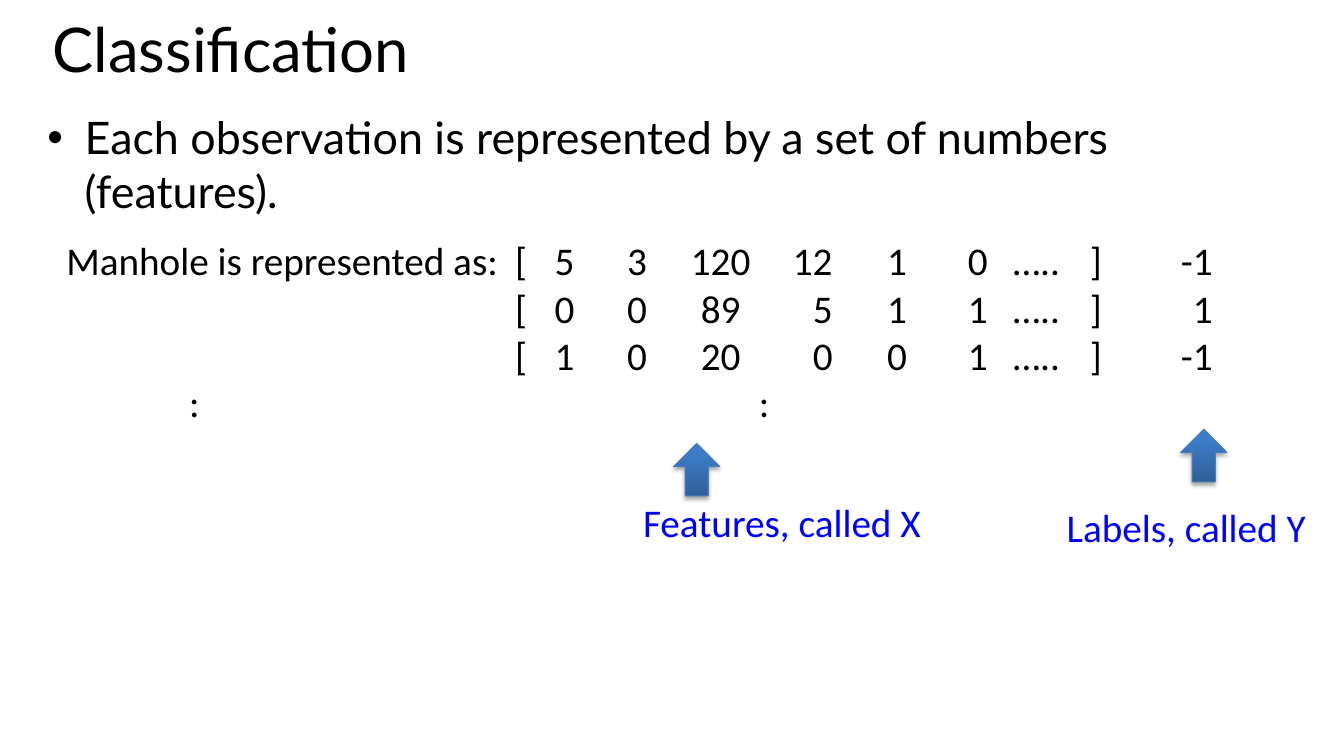
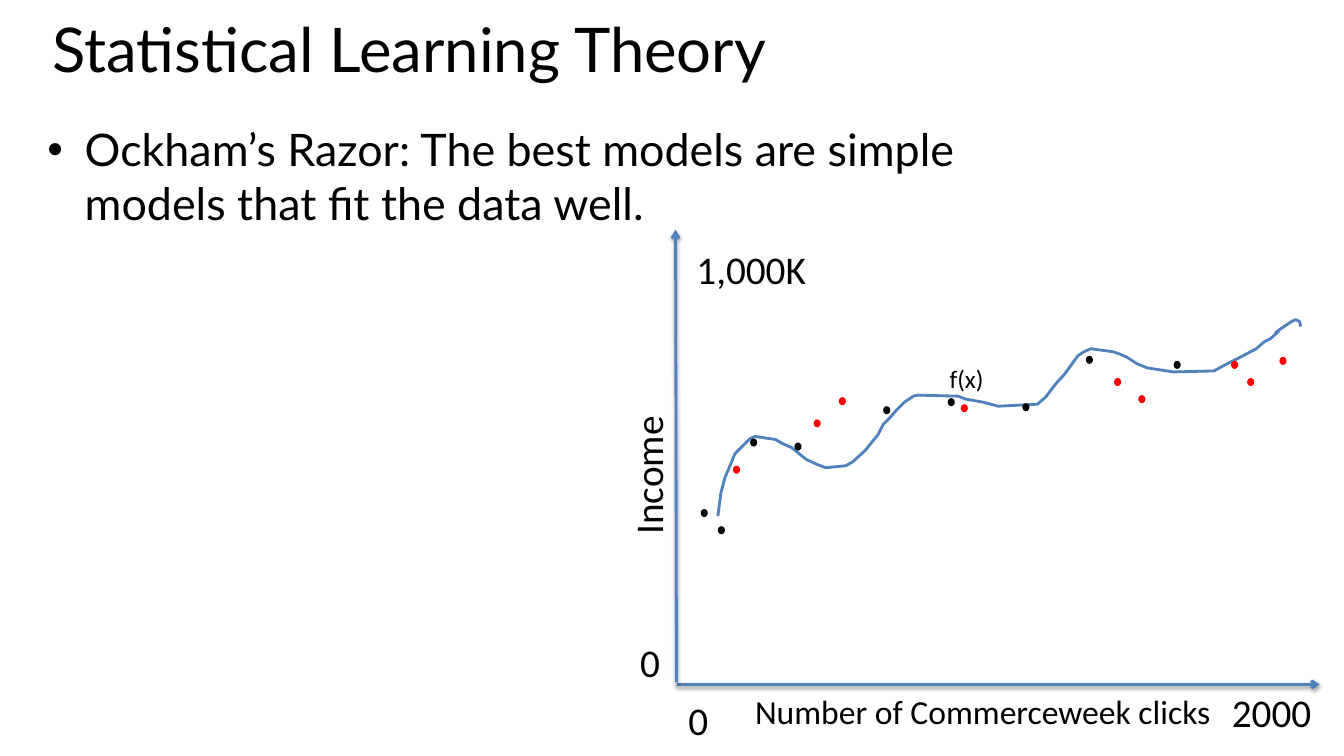
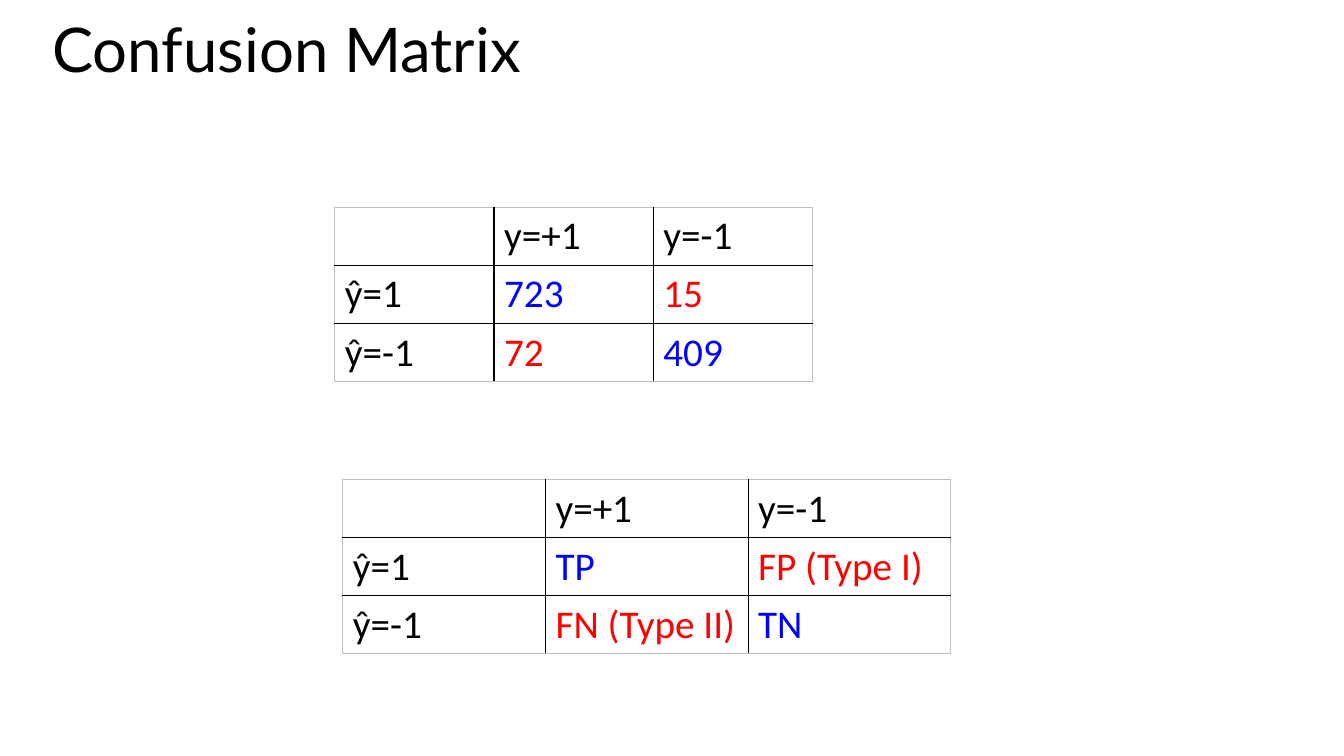
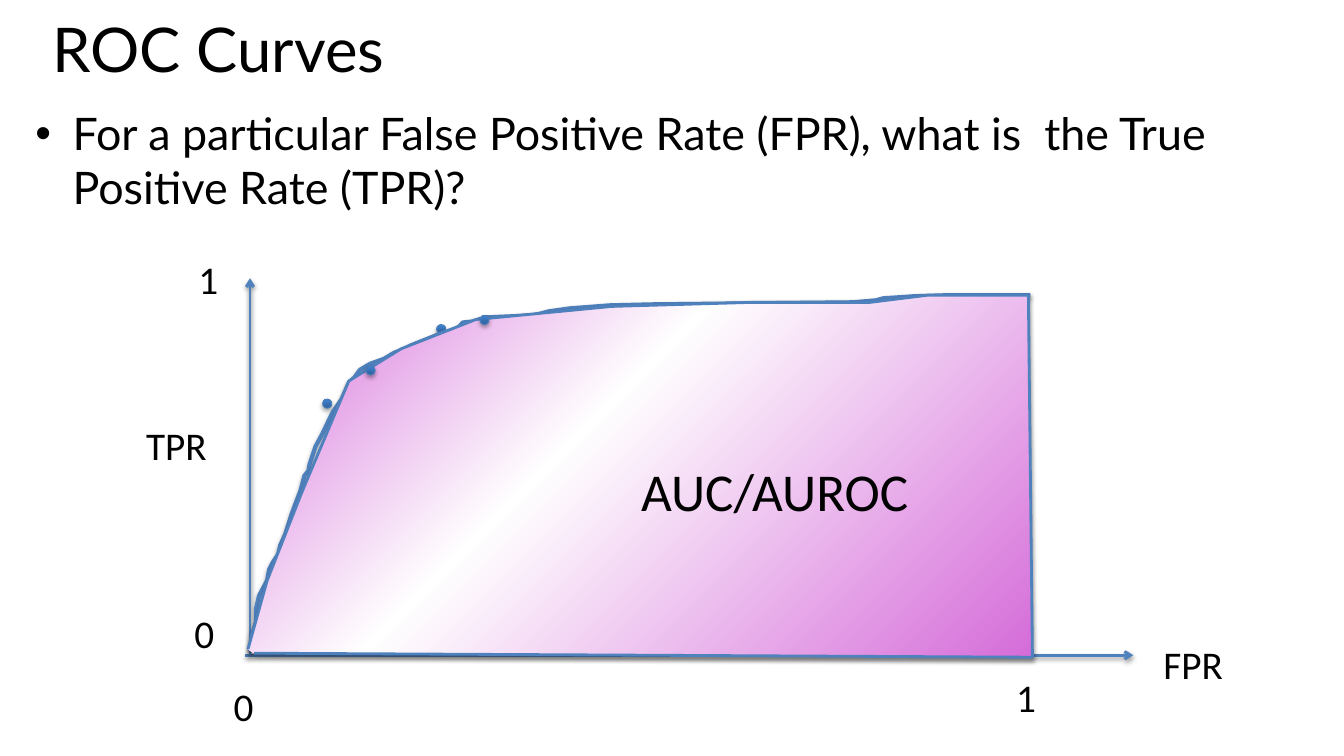
from pptx import Presentation
from pptx.dml.color import RGBColor
from pptx.enum.shapes import MSO_CONNECTOR, MSO_SHAPE
from pptx.enum.text import MSO_ANCHOR, MSO_AUTO_SIZE, PP_ALIGN
from pptx.oxml import parse_xml
from pptx.oxml.ns import nsdecls, qn
from pptx.util import Inches, Pt

STRAIGHT = MSO_CONNECTOR.STRAIGHT
OVAL, UP_ARROW = MSO_SHAPE.OVAL, MSO_SHAPE.UP_ARROW
TOP, LEFT, NO_FIT = MSO_ANCHOR.TOP, PP_ALIGN.LEFT, MSO_AUTO_SIZE.NONE

HEADING_FONT, LABEL_FONT = "Lato", "Calibri"
BLACK, BLUE, RED, GREY = "000000", "0000FF", "FF0000", "BFBFBF"
AXIS_BLUE, MARKER_EDGE = "4F81BD", "4B7EBC"
MARKER_STOPS = [(0, "2F5F99"), (80, "3D7CC7"), (100, "3A7CCB")]
AREA_STOPS = [(0, "D56CD9"), (59, "FFFFFF"), (100, "D56CD9")]
UPWARD = '<a:lin ang="16200000" scaled="0"/>'
FROM_CORNER = '<a:path path="circle"><a:fillToRect l="100000" t="100000"/></a:path>'
LINE_SHADOW, MARKER_SHADOW = (38, 1.6), (35, 1.8)

TITLE_BOX = (0.42, 0.2, 12.6, 1.16)

FEATURE_BOX = (0.56, 2.3, 11.74, 2.46)
FEATURE_TEXT_LEFT = 0.66
FEATURE_TABS = [
    (5.11, "l"), (5.6, "ctr"), (6.32, "ctr"), (7.15, "ctr"), (8.26, "r"),
    (8.9, "ctr"), (9.7, "ctr"), (10.05, "l"), (10.87, "ctr"), (12.03, "r"),
]
ELLIPSIS_TABS = [(1.93, "ctr"), (7.58, "ctr")]
FEATURE_ROWS = [
    (["Manhole is represented as:", "[", "5", "3", "120", "12", "1", "0", "…..", "]", "-1"], FEATURE_TABS),
    (["", "[", "0", "0", "89", "5", "1", "1", "…..", "]", "1"], FEATURE_TABS),
    (["", "[", "1", "0", "20", "0", "0", "1", "…..", "]", "-1"], FEATURE_TABS),
    (["", ":", ":"], ELLIPSIS_TABS),
]
FEATURE_LABELS = [
    ("Labels, called Y", (10.48, 4.94, 2.61, 0.57)),
    ("Features, called X", (6.28, 4.89, 3.01, 0.57)),
]
FEATURE_ARROWS = [(6.68, 4.4), (11.71, 4.26)]

INCOME_AXES = [((6.71, 6.79), (13.09, 6.79)), ((6.71, 6.77), (6.7, 2.28))]
INCOME_LABELS = [
    ("0", (6.73, 6.86, 0.4, 0.57), 28, 0),
    ("2000", (12.12, 6.78, 1, 0.57), 28, 0),
    ("Number of Commerceweek clicks", (7.39, 6.81, 4.75, 0.5), 24, 0),
    ("Income", (5.74, 4.43, 1.37, 0.57), 28, 270),
    ("0", (6.25, 6.28, 0.4, 0.57), 28, 0),
    ("1,000K", (6.81, 2.38, 1.3, 0.57), 28, 0),
    ("f(x)", (9.32, 3.56, 0.54, 0.4), 18, 0),
]
INCOME_CURVE = [
    (7.12, 5.12), (7.15, 4.89), (7.19, 4.74), (7.24, 4.62), (7.29, 4.5), (7.4, 4.39),
    (7.44, 4.35), (7.49, 4.33), (7.69, 4.36), (7.76, 4.4), (7.85, 4.44), (8, 4.56),
    (8.11, 4.61), (8.19, 4.64), (8.39, 4.62), (8.46, 4.58), (8.58, 4.47), (8.71, 4.31),
    (8.76, 4.21), (8.83, 4.14), (8.89, 4.07), (8.97, 3.99), (9.06, 3.93), (9.1, 3.92),
    (9.5, 3.93), (9.58, 3.96), (9.75, 3.99), (9.9, 4.03), (10.29, 4.01), (10.37, 3.94),
    (10.47, 3.81), (10.56, 3.71), (10.64, 3.6), (10.69, 3.53), (10.75, 3.49), (10.82, 3.46),
    (11.04, 3.49), (11.1, 3.51), (11.17, 3.54), (11.28, 3.61), (11.38, 3.65), (11.64, 3.69),
    (12.04, 3.68), (12.15, 3.62), (12.25, 3.57), (12.46, 3.46), (12.54, 3.39), (12.6, 3.36),
    (12.68, 3.29), (12.65, 3.3), (12.72, 3.25), (12.81, 3.19), (12.85, 3.17), (12.89, 3.19),
    (12.9, 3.24),
]
INCOME_DOTS = {
    BLACK: [(8.76, 4.03), (6.95, 5.05), (10.14, 4), (10.77, 3.53), (11.64, 3.58),
            (9.4, 3.95), (7.12, 5.22), (7.44, 4.35), (7.88, 4.39)],
    RED: [(7.27, 4.62), (8.32, 3.94), (8.07, 4.16), (11.29, 3.92), (11.05, 3.75),
          (12.21, 3.58), (12.69, 3.54), (12.37, 3.75), (9.53, 4.01)],
}

MATRIX_ROW_HEIGHT = 0.57
MATRIX_COLOURS = [(BLACK, BLACK, BLACK), (BLACK, BLUE, RED), (BLACK, RED, BLUE)]
MATRICES = [
    ((3.32, 2.06), 1.58, [("", "y=+1", "y=-1"), ("ŷ=1", "723", "15"), ("ŷ=-1", "72", "409")]),
    ((3.4, 4.76), 2.01, [("", "y=+1", "y=-1"), ("ŷ=1", "TP", "FP (Type I)"), ("ŷ=-1", "FN (Type II)", "TN")]),
]

ROC_AXES = [((2.43, 6.5), (11.24, 6.5)), ((2.48, 6.5), (2.48, 2.76))]
ROC_LABELS = [
    ("FPR", (11.44, 6.3, 0.8, 0.57)),
    ("TPR", (1.35, 4.13, 0.81, 0.57)),
    ("1", (1.87, 2.48, 0.4, 0.57)),
    ("1", (9.98, 6.63, 0.4, 0.57)),
    ("0", (2.22, 6.72, 0.4, 0.57)),
    ("0", (1.83, 6, 0.4, 0.57)),
]
ROC_POINTS_BEHIND = [(3.2, 3.96), (4.33, 3.22)]
ROC_POINTS_FRONT = [(3.63, 3.63), (4.76, 3.13)]
ROC_CURVE = [
    (2.48, 6.46), (2.5, 6.3), (2.54, 6.17), (2.54, 6.04), (2.57, 5.91), (2.65, 5.76),
    (2.67, 5.65), (2.7, 5.59), (2.76, 5.5), (2.78, 5.41), (2.83, 5.3), (2.89, 5.11),
    (2.93, 5), (2.98, 4.87), (3.02, 4.72), (3.06, 4.67), (3.07, 4.61), (3.13, 4.43),
    (3.2, 4.3), (3.3, 4.09), (3.39, 3.96), (3.44, 3.85), (3.46, 3.8), (3.52, 3.74),
    (3.57, 3.67), (3.67, 3.61), (3.81, 3.56), (3.91, 3.5), (4.02, 3.46), (4.07, 3.43),
    (4.37, 3.31), (4.54, 3.26), (4.59, 3.2), (4.69, 3.19), (4.81, 3.15), (5.28, 3.13),
    (5.37, 3.11), (5.44, 3.09), (5.65, 3.06), (6.05, 3.03), (6.48, 3.02), (8.46, 3),
    (8.69, 2.98), (8.76, 2.96), (9.06, 2.94), (9.37, 2.93), (10.22, 2.93),
]
ROC_AREA = [
    (2.46, 6.44), (2.65, 5.76), (3, 4.87), (3.46, 3.78), (3.98, 3.46), (4.72, 3.17),
    (6.07, 3.04), (7.46, 3), (8.63, 3), (9.19, 2.93), (10.2, 2.93), (10.24, 6.52), (2.52, 6.48),
]


def colour(hex_code):
    return RGBColor.from_string(hex_code)


def inches(values):
    return [Inches(value) for value in values]


def element(tag, attributes="", inner=""):
    return parse_xml(f"<a:{tag} {nsdecls('a')} {attributes}>{inner}</a:{tag}>")


def solid(hex_code):
    return f'<a:solidFill><a:srgbClr val="{hex_code}"/></a:solidFill>'


def write(paragraph, text, size, hex_code=BLACK, font=LABEL_FONT):
    run = paragraph.add_run()
    run.text = text
    run.font.name, run.font.size = font, Pt(size)
    run.font.color.rgb = colour(hex_code)


def set_line(shape, hex_code, width):
    shape.line.color.rgb = colour(hex_code)
    shape.line.width = Pt(width)


def set_gradient(shape, stops, direction):
    shape.fill.background()
    properties = shape._element.spPr
    marks = "".join(
        f'<a:gs pos="{position * 1000}"><a:srgbClr val="{code}"/></a:gs>' for position, code in stops)
    gradient = element("gradFill", 'rotWithShape="1"', f"<a:gsLst>{marks}</a:gsLst>{direction}")
    properties.replace(properties.find(qn("a:noFill")), gradient)


def set_shadow(shape, shadow=None):
    inner = ""
    if shadow:
        opacity, distance = shadow
        inner = (f'<a:outerShdw blurRad="{Pt(3.1)}" dist="{Pt(distance)}" dir="5400000" rotWithShape="0">'
                 f'<a:srgbClr val="{BLACK}"><a:alpha val="{opacity * 1000}"/></a:srgbClr></a:outerShdw>')
    shape._element.spPr.append(element("effectLst", "", inner))


def place(placeholder, box):
    placeholder.left, placeholder.top, placeholder.width, placeholder.height = inches(box)
    frame = placeholder.text_frame
    frame.auto_size, frame.vertical_anchor = NO_FIT, TOP
    paragraph = frame.paragraphs[0]
    paragraph.alignment = LEFT
    return paragraph


def add_slide(deck, title, bullet=None, bullet_box=None):
    slide = deck.slides.add_slide(deck.slide_layouts[1 if bullet else 5])
    heading = place(slide.shapes.title, TITLE_BOX)
    heading.line_spacing = 0.8
    write(heading, title, 44, font=HEADING_FONT)
    if bullet:
        item = place(slide.placeholders[1], bullet_box)
        item.space_before = Pt(14)
        properties = item._p.get_or_add_pPr()
        properties.set("marL", str(Inches(0.37)))
        properties.set("indent", str(Inches(-0.37)))
        write(item, bullet, 32, font=HEADING_FONT)
    return slide


def add_label(slide, text, box, size=28, rotation=0, hex_code=BLACK):
    label = slide.shapes.add_textbox(*inches(box))
    label.rotation = rotation
    label.text_frame.word_wrap = False
    write(label.text_frame.paragraphs[0], text, size, hex_code)


def add_axes(slide, axes):
    for start, end in axes:
        axis = slide.shapes.add_connector(STRAIGHT, *inches(start + end))
        set_line(axis, AXIS_BLUE, 2)
        axis.line._get_or_add_ln().append(element("tailEnd", 'type="arrow"'))
        set_shadow(axis, LINE_SHADOW)


def add_outline(slide, points, width, shadow=None, stops=None):
    start, *rest = [inches(point) for point in points]
    builder = slide.shapes.build_freeform(*start)
    builder.add_line_segments(rest, close=False)
    outline = builder.convert_to_shape()
    if stops:
        set_gradient(outline, stops, FROM_CORNER)
    else:
        outline.fill.background()
    set_line(outline, AXIS_BLUE, width)
    set_shadow(outline, shadow)


def add_markers(slide, kind, corners, size):
    for corner in corners:
        marker = slide.shapes.add_shape(kind, *inches(corner + size))
        set_gradient(marker, MARKER_STOPS, UPWARD)
        set_line(marker, MARKER_EDGE, 0.75)
        set_shadow(marker, MARKER_SHADOW)


def add_dots(slide, corners, hex_code):
    for corner in corners:
        dot = slide.shapes.add_shape(OVAL, *inches(corner + (0.07, 0.08)))
        dot.fill.solid()
        dot.fill.fore_color.rgb = colour(hex_code)
        dot.line.fill.background()
        set_shadow(dot)


def add_feature_rows(slide):
    frame = slide.shapes.add_textbox(*inches(FEATURE_BOX)).text_frame
    frame.word_wrap = True
    for index, (cells, tabs) in enumerate(FEATURE_ROWS):
        row = frame.add_paragraph() if index else frame.paragraphs[0]
        stops = "".join(
            f'<a:tab pos="{Inches(x - FEATURE_TEXT_LEFT)}" algn="{align}"/>' for x, align in tabs)
        row._p.get_or_add_pPr().append(element("tabLst", "", stops))
        write(row, "\t".join(cells), 28)


def add_matrix(slide, corner, column_width, rows):
    count = len(rows)
    size = (column_width * count, MATRIX_ROW_HEIGHT * count)
    matrix = slide.shapes.add_table(count, count, *inches(corner + size)).table
    matrix.first_row = matrix.horz_banding = False
    last = count - 1
    for r, texts in enumerate(rows):
        for c, text in enumerate(texts):
            cell = matrix.cell(r, c)
            outer_sides = {"lnL": c == 0, "lnR": c == last, "lnT": r == 0, "lnB": r == last}
            for side, outer in outer_sides.items():
                width, edge = (0.75, GREY) if outer else (1, BLACK)
                cell._tc.get_or_add_tcPr().append(element(side, f'w="{Pt(width)}"', solid(edge)))
            cell.fill.background()
            if text:
                write(cell.text_frame.paragraphs[0], text, 28, MATRIX_COLOURS[r][c])


def main():
    deck = Presentation()
    deck.slide_width, deck.slide_height = inches((13.33, 7.5))

    classification = add_slide(
        deck, "Classification",
        "Each observation is represented by a set of numbers (features).", (0.37, 1.04, 12.32, 5.79))
    add_feature_rows(classification)
    for text, box in FEATURE_LABELS:
        add_label(classification, text, box, hex_code=BLUE)
    add_markers(classification, UP_ARROW, FEATURE_ARROWS, (0.46, 0.52))

    theory = add_slide(
        deck, "Statistical Learning Theory",
        "Ockham’s Razor: The best models are simple models that fit the data well.", (0.37, 1.16, 10.32, 5.79))
    add_axes(theory, INCOME_AXES)
    for label in INCOME_LABELS:
        add_label(theory, *label)
    add_outline(theory, INCOME_CURVE, 2)
    for hex_code, corners in INCOME_DOTS.items():
        add_dots(theory, corners, hex_code)

    confusion = add_slide(deck, "Confusion Matrix")
    for matrix in MATRICES:
        add_matrix(confusion, *matrix)

    roc = add_slide(
        deck, "ROC Curves",
        "For a particular False Positive Rate (FPR), what is  the True Positive Rate (TPR)?", (0.25, 1, 12.6, 1.52))
    add_axes(roc, ROC_AXES)
    for label in ROC_LABELS:
        add_label(roc, *label)
    add_markers(roc, OVAL, ROC_POINTS_BEHIND, (0.09, 0.09))
    add_outline(roc, ROC_CURVE, 3, LINE_SHADOW)
    add_outline(roc, ROC_AREA, 2, LINE_SHADOW, AREA_STOPS)
    add_label(roc, "AUC/AUROC", (6.26, 4.5, 2.92, 0.74), 38)
    add_markers(roc, OVAL, ROC_POINTS_FRONT, (0.09, 0.09))

    deck.save("out.pptx")


if __name__ == "__main__":
    main()
